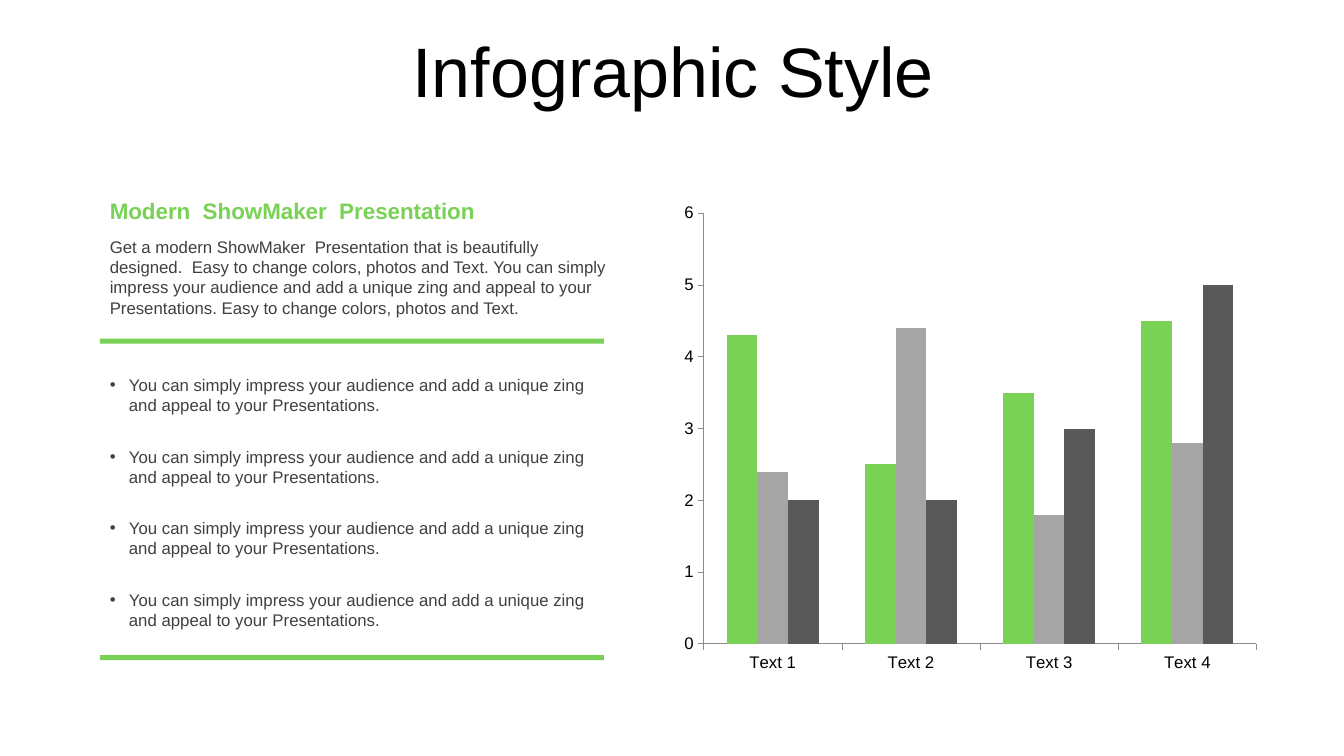
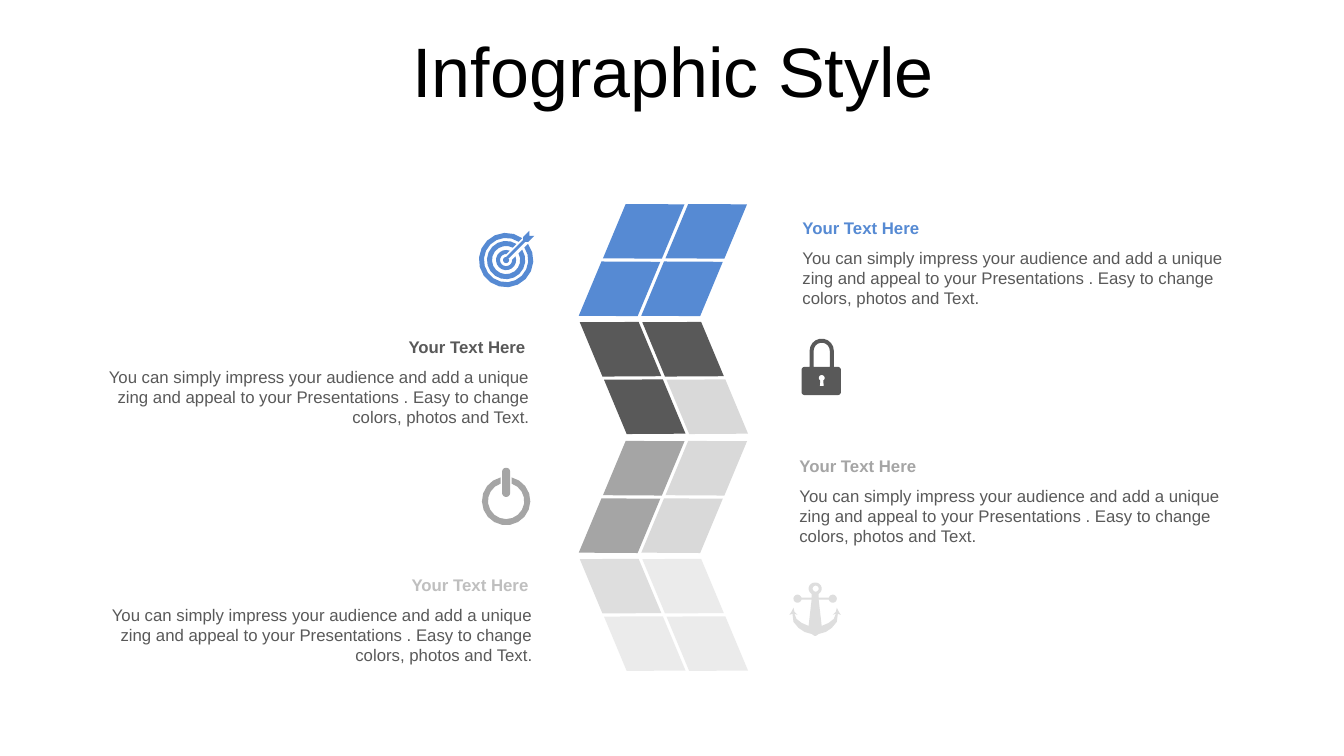
from math import asin, cos, degrees, radians, sin

from lxml import etree
from pptx import Presentation
from pptx.chart.data import CategoryChartData
from pptx.dml.color import RGBColor
from pptx.enum.chart import XL_CHART_TYPE as ChartType, XL_TICK_MARK as Tick
from pptx.enum.shapes import MSO_SHAPE as Shape
from pptx.enum.text import MSO_ANCHOR as Anchor, MSO_AUTO_SIZE as AutoSize, PP_ALIGN as Align
from pptx.oxml.ns import qn
from pptx.util import Inches, Pt

FONT = "Arial"
BLACK = RGBColor(0x00, 0x00, 0x00)
CHARCOAL = RGBColor(0x40, 0x40, 0x40)
DARK = RGBColor(0x59, 0x59, 0x59)
AXIS = RGBColor(0x8B, 0x8B, 0x8B)
GRAY = RGBColor(0xA5, 0xA5, 0xA5)
SILVER = RGBColor(0xBF, 0xBF, 0xBF)
LIGHT = RGBColor(0xD9, 0xD9, 0xD9)
PALE = RGBColor(0xDE, 0xDE, 0xDE)
WHITE = RGBColor(0xFF, 0xFF, 0xFF)
GREEN = RGBColor(0x79, 0xD1, 0x55)
BLUE = RGBColor(0x56, 0x8A, 0xD3)


def add_text(page, text, left, top, width, height, color, size=12, bold=False, align=Align.LEFT, fill=None):
    """Add a text box, or a filled rectangle with text when a fill is given."""
    place = Inches(left), Inches(top), Inches(width), Inches(height)
    if fill is None:
        box = page.shapes.add_textbox(*place)
    else:
        box = page.shapes.add_shape(Shape.RECTANGLE, *place)
        box.shadow.inherit = False
        box.fill.solid()
        box.fill.fore_color.rgb = fill
        box.line.fill.background()
    frame = box.text_frame
    frame.word_wrap = True
    frame.auto_size = AutoSize.SHAPE_TO_FIT_TEXT
    para = frame.paragraphs[0]
    para.text = text
    para.alignment = align
    para.font.name = FONT
    para.font.size = Pt(size)
    para.font.bold = bold
    para.font.color.rgb = color
    return box


def arc(x, y, radius, start, end):
    """Points in inches along a circle; degrees run clockwise from the right."""
    steps = max(2, round(abs(end - start) / 20))
    angles = [radians(start + (end - start) * i / steps) for i in range(steps + 1)]
    return [(x + radius * cos(angle), y + radius * sin(angle)) for angle in angles]


deck = Presentation()
deck.slide_width, deck.slide_height = Inches(13.33), Inches(7.5)
pages = [deck.slides.add_slide(deck.slide_layouts[6]) for _ in range(2)]
for page in pages:
    title = add_text(page, "Infographic Style", 0.35, 0.37, 12.66, 0.79, BLACK, 50, align=Align.CENTER)
    title.text_frame.auto_size = AutoSize.NONE
    title.text_frame.vertical_anchor = Anchor.MIDDLE
    title.text_frame.margin_top = Inches(0.1)
    title.text_frame.paragraphs[0].line_spacing = 0.7
chart_page, steps_page = pages

# Text column and chart
chart_data = CategoryChartData()
chart_data.categories = ["Text 1", "Text 2", "Text 3", "Text 4"]
chart_data.add_series("Series 1", (4.3, 2.5, 3.5, 4.5))
chart_data.add_series("Series 2", (2.4, 4.4, 1.8, 2.8))
chart_data.add_series("Series 3", (2, 2, 3, 5))
chart = chart_page.shapes.add_chart(
    ChartType.COLUMN_CLUSTERED, Inches(6.67), Inches(1.93), Inches(5.91), Inches(4.83), chart_data
).chart
chart.has_legend = False
chart.has_title = False
chart.font.name = FONT
chart.font.size = Pt(12)
chart.font.color.rgb = BLACK
for axis in (chart.category_axis, chart.value_axis):
    axis.has_major_gridlines = False
    axis.major_tick_mark = Tick.OUTSIDE
    axis.minor_tick_mark = Tick.NONE
    axis.format.line.color.rgb = AXIS
    axis.format.line.width = Pt(0.5)
chart.value_axis.minimum_scale = 0
chart.value_axis.maximum_scale = 6
chart.value_axis.major_unit = 1
plot = chart.plots[0]
plot.gap_width = 150
plot.overlap = 0
plot.vary_by_categories = False
for series, color in zip(plot.series, (GREEN, GRAY, DARK)):
    series.format.fill.solid()
    series.format.fill.fore_color.rgb = color

for top in (3.36, 6.5):
    rule = chart_page.shapes.add_shape(Shape.RECTANGLE, Inches(0.99), Inches(top), Inches(5), Inches(0.05))
    rule.shadow.inherit = False
    rule.fill.solid()
    rule.fill.fore_color.rgb = GREEN
    rule.line.fill.background()

for i in range(4):
    bullet_box = add_text(
        chart_page,
        "You can simply impress your audience and add a unique zing and appeal to your Presentations.",
        0.99, 3.67 + 0.71 * i, 5.19, 0.5, CHARCOAL,
    )
    properties = bullet_box.text_frame.paragraphs[0]._p.get_or_add_pPr()
    properties.set("marL", str(Inches(0.19)))
    properties.set("indent", str(-Inches(0.19)))
    properties.insert(0, etree.Element(qn("a:buFont"), typeface=FONT))
    properties.insert(1, etree.Element(qn("a:buChar"), char="•"))

add_text(chart_page, "Modern  ShowMaker  Presentation", 0.99, 1.91, 5.19, 0.37, GREEN, 16, True)
add_text(
    chart_page,
    "Get a modern ShowMaker  Presentation that is beautifully designed.  Easy to change colors, "
    "photos and Text. You can simply impress your audience and add a unique zing and appeal to your "
    "Presentations. Easy to change colors, photos and Text.",
    0.99, 2.3, 5.19, 0.9, CHARCOAL,
)

# Zigzag of four blocks, each two by two tiles; None is a half-transparent tile
blocks = [
    (1.97, True, (BLUE, BLUE, BLUE, BLUE)),
    (3.14, False, (DARK, DARK, DARK, LIGHT)),
    (4.32, True, (GRAY, LIGHT, GRAY, LIGHT)),
    (5.49, False, (PALE, None, None, None)),
]
for top, leans_right, colors in blocks:
    for i, color in enumerate(colors):
        row, column = divmod(i, 2)
        left = (5.9 - 0.24 * row if leans_right else 5.67 + 0.24 * row) + 0.62 * column
        tile = steps_page.shapes.add_shape(
            Shape.FLOWCHART_DECISION, Inches(left), Inches(top + 0.57 * row), Inches(0.97), Inches(0.65)
        )
        tile.rotation = 326.5 if leans_right else 33.5
        tile.shadow.inherit = False
        tile.fill.solid()
        tile.fill.fore_color.rgb = color or LIGHT
        tile.line.fill.background()
        if color is None:
            fill_color = tile._element.spPr.find(qn("a:solidFill"))[0]
            etree.SubElement(fill_color, qn("a:alpha"), val="50000")

captions = [
    (7.86, 2.11, 4.51, BLUE, Align.LEFT, None),
    (0.79, 3.29, 4.56, DARK, Align.RIGHT, None),
    (7.83, 4.47, 4.51, GRAY, Align.LEFT, None),
    (0.82, 5.65, 4.56, SILVER, Align.RIGHT, WHITE),
]
for left, top, width, color, align, fill in captions:
    add_text(
        steps_page, "Your Text Here", left, top, width - 0.04, 0.3, color, bold=True, align=align, fill=fill
    )
    add_text(
        steps_page,
        "You can simply impress your audience and add a unique zing and appeal to your Presentations . "
        "Easy to change colors, photos and Text.",
        left, top + 0.3, width, 0.7, DARK, align=align,
    )

# Icons: each is a list of closed outlines, inner ones cut holes
target = [
    [(5.25, 2.29), (5.25, 2.34), (5.3, 2.34), (5.24, 2.4), (5.21, 2.4), (5.04, 2.57)]
    + arc(5.02, 2.58, 0.03, -20, 250)
    + [(5.02, 2.55), (5.19, 2.38), (5.19, 2.35)]
]
for outer, inner in ((0.27, 0.22), (0.19, 0.14), (0.1, 0.06)):
    outer_gap, inner_gap = (degrees(asin(0.04 / radius)) for radius in (outer, inner))
    target.append(
        arc(5.02, 2.58, outer, outer_gap - 45, 315 - outer_gap)
        + arc(5.02, 2.58, inner, 315 - inner_gap, inner_gap - 45)
    )
padlock = [
    arc(8.15, 3.48, 0.12, 180, 360) + [(8.27, 3.64)]
    + arc(8.31, 3.67, 0.03, 270, 360) + arc(8.31, 3.89, 0.03, 0, 90)
    + arc(7.98, 3.89, 0.03, 90, 180) + arc(7.98, 3.67, 0.03, 180, 270) + [(8.03, 3.64)],
    arc(8.15, 3.48, 0.08, 180, 360) + [(8.23, 3.64), (8.07, 3.64)],
    arc(8.15, 3.75, 0.03, 120, 420) + [(8.17, 3.83), (8.13, 3.83)],
]
power = [
    arc(5.02, 4.97, 0.24, -77, 257) + arc(5.02, 4.97, 0.18, 252, -72),
    arc(5.02, 4.68, 0.04, 180, 360) + arc(5.02, 4.89, 0.04, 0, 180),
]
anchor_half = (
    arc(8.09, 5.84, 0.06, 270, 420)
    + [(8.12, 5.93), (8.22, 5.93)]
    + arc(8.26, 5.94, 0.04, 200, 520)
    + [(8.22, 5.95), (8.12, 5.95), (8.15, 6.21), (8.22, 6.18), (8.27, 6.14), (8.29, 6.09),
       (8.26, 6.1), (8.29, 6.07), (8.3, 6.03), (8.32, 6.07), (8.34, 6.1), (8.31, 6.09),
       (8.3, 6.17), (8.25, 6.23), (8.19, 6.27), (8.12, 6.29), (8.09, 6.31)]
)
anchor = [
    anchor_half + [(16.17 - x, y) for x, y in reversed(anchor_half)],
    arc(8.09, 5.84, 0.03, 0, 360),
]
for outlines, color in ((target, BLUE), (padlock, DARK), (power, GRAY), (anchor, PALE)):
    builder = None
    for outline in outlines:
        points = [(Inches(x), Inches(y)) for x, y in outline]
        if builder is None:
            builder = steps_page.shapes.build_freeform(*points[0])
        else:
            builder.move_to(*points[0])
        builder.add_line_segments(points[1:], close=True)
    icon = builder.convert_to_shape()
    icon.shadow.inherit = False
    icon.fill.solid()
    icon.fill.fore_color.rgb = color
    icon.line.fill.background()

deck.save("out.pptx")
